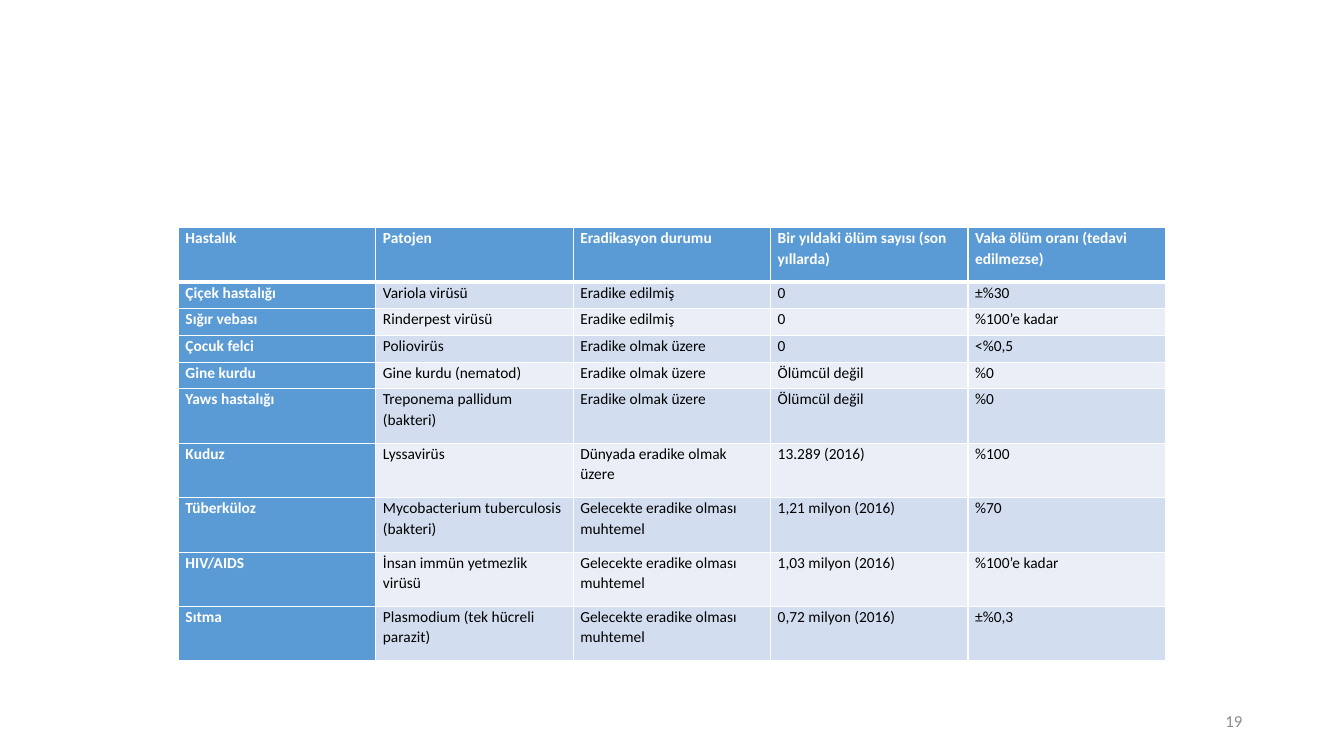
from dataclasses import dataclass

import lxml.etree
import pptx
import pptx.dml.color
import pptx.enum.text
import pptx.oxml.ns
import pptx.util

Inches = pptx.util.Inches
Pt = pptx.util.Pt


@dataclass(frozen=True)
class Theme:
    font: str = "Calibri"
    table_size: float = 11
    number_size: float = 12
    accent: str = "5B9BD5"
    bands: tuple = ("D2DEEF", "EAEFF7")
    light: str = "FFFFFF"
    dark: str = "000000"
    muted: str = "8C8C8C"


THEME = Theme()

HEADINGS = ("Hastalık", "Patojen", "Eradikasyon durumu",
            "Bir yıldaki ölüm sayısı (son yıllarda)",
            "Vaka ölüm oranı (tedavi edilmezse)")
DISEASES = (
    ("Çiçek hastalığı", "Variola virüsü", "Eradike edilmiş", "0", "±%30"),
    ("Sığır vebası", "Rinderpest virüsü", "Eradike edilmiş", "0", "%100’e kadar"),
    ("Çocuk felci", "Poliovirüs", "Eradike olmak üzere", "0", "<%0,5"),
    ("Gine kurdu", "Gine kurdu (nematod)", "Eradike olmak üzere", "Ölümcül değil", "%0"),
    ("Yaws hastalığı", "Treponema pallidum (bakteri)", "Eradike olmak üzere",
     "Ölümcül değil", "%0"),
    ("Kuduz", "Lyssavirüs", "Dünyada eradike olmak üzere", "13.289 (2016)", "%100"),
    ("Tüberküloz", "Mycobacterium tuberculosis (bakteri)",
     "Gelecekte eradike olması muhtemel", "1,21 milyon (2016)", "%70"),
    ("HIV/AIDS", "İnsan immün yetmezlik virüsü",
     "Gelecekte eradike olması muhtemel", "1,03 milyon (2016)", "%100’e kadar"),
    ("Sıtma", "Plasmodium (tek hücreli parazit)",
     "Gelecekte eradike olması muhtemel", "0,72 milyon (2016)", "±%0,3"),
)
SINGLE_LINE_ROWS = range(1, 5)


def color(value):
    return pptx.dml.color.RGBColor.from_string(value)


def format_runs(paragraph, size, text_color, bold=False):
    for run in paragraph.runs:
        run.font.name = THEME.font
        run.font.size = Pt(size)
        run.font.bold = bold
        run.font.color.rgb = color(text_color)


def set_borders(cell, widths):
    """Border lines come before the fill in the cell properties."""
    qn = pptx.oxml.ns.qn
    properties = cell._tc.get_or_add_tcPr()
    for index, (side, width) in enumerate(widths.items()):
        line = lxml.etree.Element(qn(f"a:ln{side}"), w=str(Pt(width)))
        fill = lxml.etree.SubElement(line, qn("a:solidFill"))
        lxml.etree.SubElement(fill, qn("a:srgbClr"), val=THEME.light)
        properties.insert(index, line)


def fill_cell(cell, text, row, column):
    emphasized = row == 0 or column == 0
    cell.margin_left = cell.margin_right = Inches(0.07)
    cell.margin_top = cell.margin_bottom = 0
    cell.fill.solid()
    cell.fill.fore_color.rgb = color(
        THEME.accent if emphasized else THEME.bands[(row - 1) % 2])
    set_borders(cell, {"L": 1, "R": 1, "T": 3 if row == 1 else 1,
                       "B": 3 if row == 0 else 1})
    cell.text_frame.text = text
    paragraph = cell.text_frame.paragraphs[0]
    paragraph.line_spacing = 1.07
    paragraph.space_after = Pt(8)
    format_runs(paragraph, THEME.table_size,
                THEME.light if emphasized else THEME.dark, emphasized)


def add_disease_table(slide, left, top, width, height):
    rows = (HEADINGS,) + DISEASES
    # Two-line rows are twice as tall as single-line rows
    units = [1 if row in SINGLE_LINE_ROWS else 2.04 for row in range(len(rows))]
    table = slide.shapes.add_table(
        len(rows), len(HEADINGS), Inches(left), Inches(top),
        Inches(width), Inches(height)).table
    for column in table.columns:
        column.width = Inches(width / len(HEADINGS))
    for row, texts in enumerate(rows):
        table.rows[row].height = Inches(height * units[row] / sum(units))
        for column, text in enumerate(texts):
            fill_cell(table.cell(row, column), text, row, column)


def add_slide_number(slide, left, top, width, height):
    shape = slide.shapes.add_textbox(
        Inches(left), Inches(top), Inches(width), Inches(height))
    text_frame = shape.text_frame
    text_frame.word_wrap = True
    text_frame.vertical_anchor = pptx.enum.text.MSO_ANCHOR.MIDDLE
    text_frame.text = "19"
    paragraph = text_frame.paragraphs[0]
    paragraph.alignment = pptx.enum.text.PP_ALIGN.RIGHT
    format_runs(paragraph, THEME.number_size, THEME.muted)


def main():
    presentation = pptx.Presentation()
    presentation.slide_width = Inches(13.33)
    presentation.slide_height = Inches(7.5)
    slide = presentation.slides.add_slide(presentation.slide_layouts[6])
    add_disease_table(slide, 1.77, 2.26, 9.79, 4.3)
    add_slide_number(slide, 9.42, 6.95, 3, 0.4)
    presentation.save("out.pptx")


if __name__ == "__main__":
    main()
